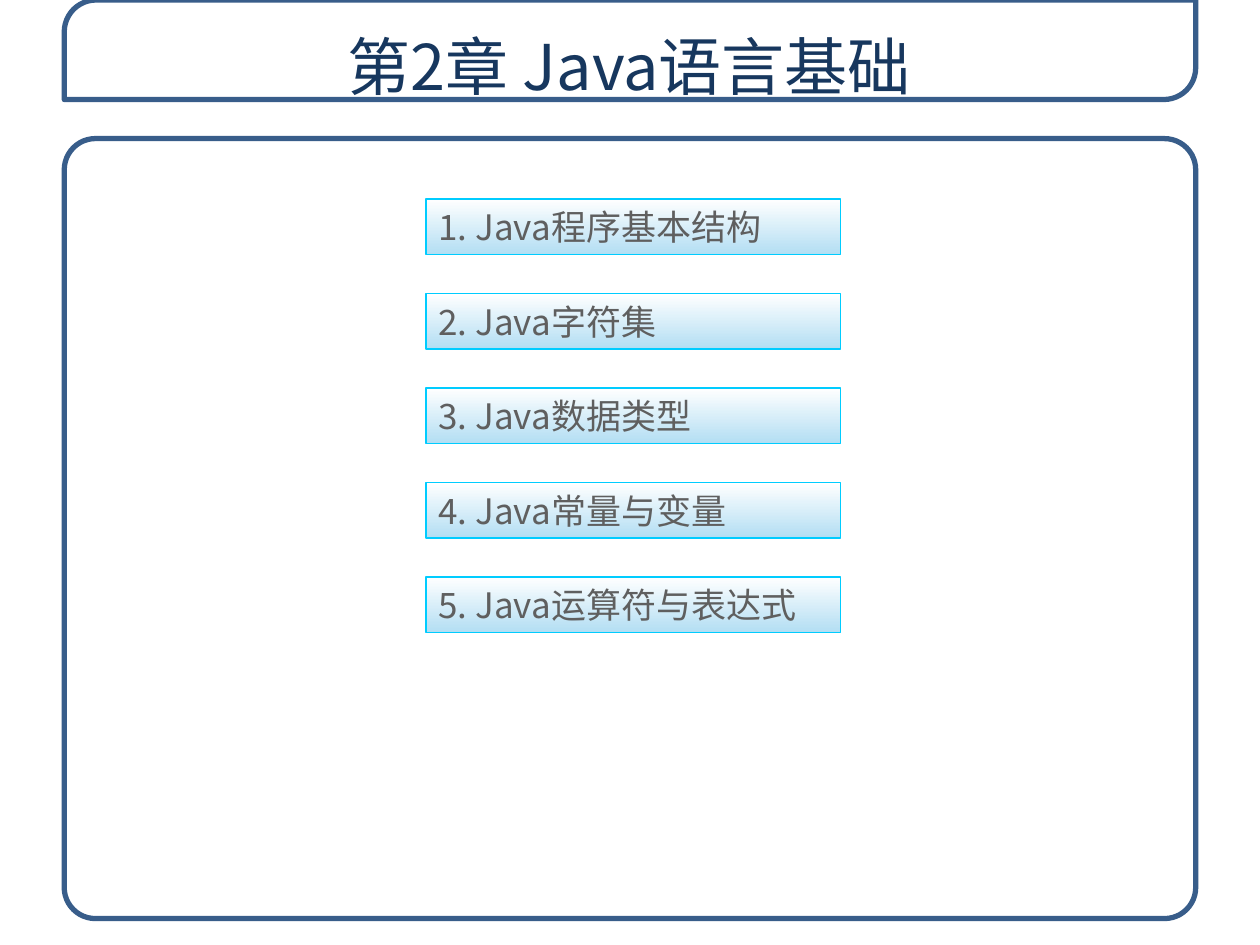
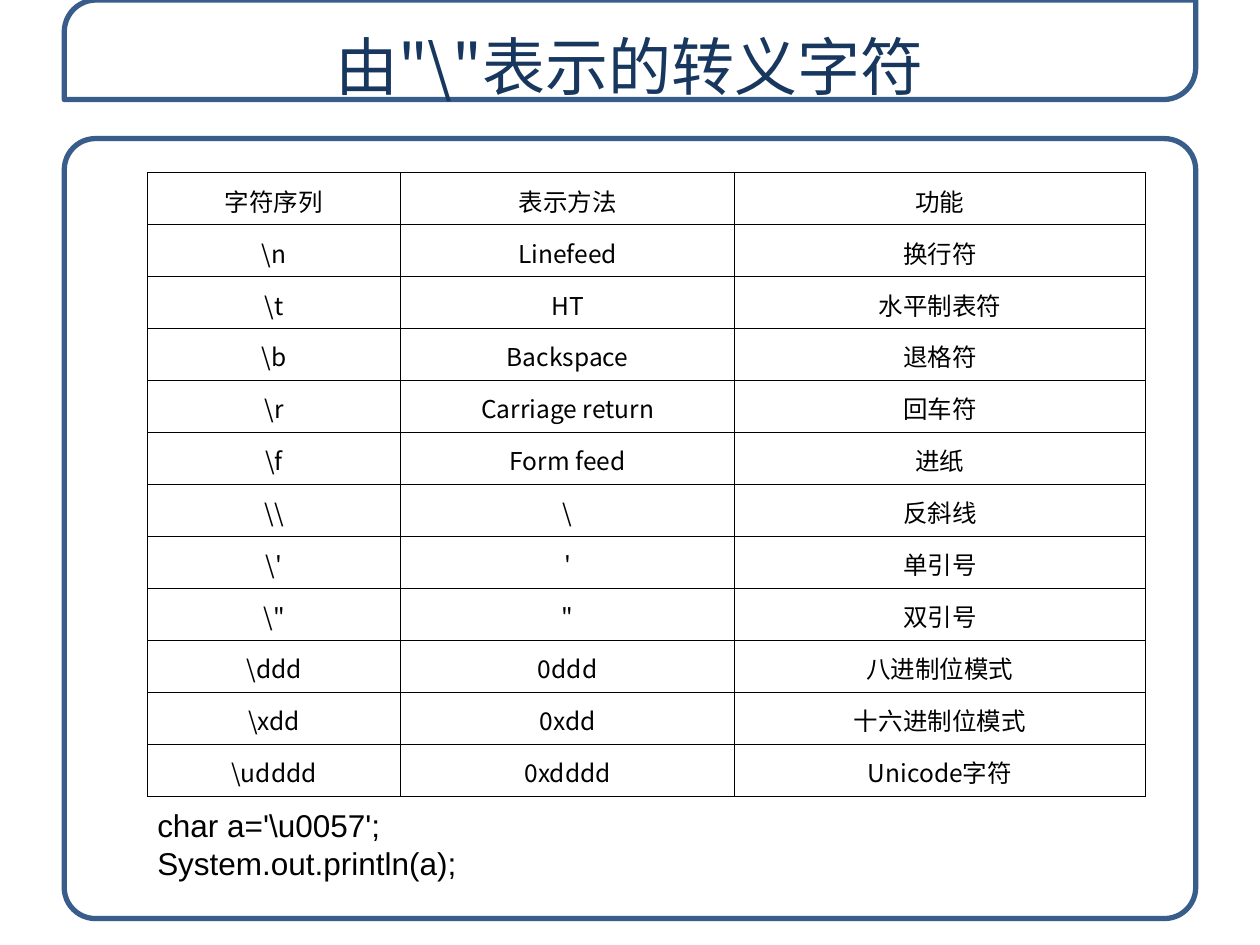
from dataclasses import dataclass

from lxml import etree
from pptx import Presentation
from pptx import util as u
from pptx.dml.color import RGBColor
from pptx.enum import shapes, text
from pptx.oxml import ns


@dataclass(frozen=True)
class Theme:
    paper: str = "FFFFFF"
    frame: str = "385D8A"
    title: str = "17375E"
    topic_edge: str = "00CCFF"
    topic_tint: str = "B3DEF3"
    topic_text: str = "5F5F5F"
    ink: str = "000000"
    font: str = "Noto Sans CJK SC"
    code_font: str = "Arial"
    title_size: float = 36
    topic_size: float = 20
    code_size: float = 18
    cell_size: float = 14
    frame_width: float = 3
    topic_width: float = 0.75
    grid_width: float = 0.23
    frame_opacity: int = 85


THEME = Theme()

TOPICS = [
    "1. Java程序基本结构",
    "2. Java字符集",
    "3. Java数据类型",
    "4. Java常量与变量",
    "5. Java运算符与表达式",
]

ESCAPES = [
    ("字符序列", "表示方法", "功能"),
    (r"\n", "Linefeed", "换行符"),
    (r"\t", "HT", "水平制表符"),
    (r"\b", "Backspace", "退格符"),
    (r"\r", "Carriage return", "回车符"),
    (r"\f", "Form feed", "进纸"),
    (r"\\", "\\", "反斜线"),
    (r"\'", "'", "单引号"),
    (r"\"", '"', "双引号"),
    (r"\ddd", "0ddd", "八进制位模式"),
    (r"\xdd", "0xdd", "十六进制位模式"),
    (r"\udddd", "0xdddd", "Unicode字符"),
]

CODE = "char a='\\u0057';\nSystem.out.println(a);"


def rgb(value):
    return RGBColor.from_string(value)


def inches(*lengths):
    return [u.Inches(length) for length in lengths]


def write(frame, words, size, color, font=THEME.font, align=text.PP_ALIGN.LEFT):
    frame.text = words
    for para in frame.paragraphs:
        para.alignment = align
        for span in para.runs:
            span.font.size = u.Pt(size)
            span.font.name = font
            span.font.color.rgb = rgb(color)
            east = etree.SubElement(span.font._element, ns.qn("a:ea"))
            east.set("typeface", font)


def set_line(shape, color, width):
    shape.line.color.rgb = rgb(color)
    shape.line.width = u.Pt(width)


def add_frame(page, kind, top, height, corner):
    frame = page.shapes.add_shape(kind, *inches(0.51, top, 8.98, height))
    frame.adjustments[0] = corner
    frame.shadow.inherit = False
    frame.fill.solid()
    frame.fill.fore_color.rgb = rgb(THEME.paper)
    color = frame._element.spPr.find(ns.qn("a:solidFill"))[0]
    alpha = etree.SubElement(color, ns.qn("a:alpha"))
    alpha.set("val", str(THEME.frame_opacity * 1000))
    set_line(frame, THEME.frame, THEME.frame_width)


def add_page(deck, heading):
    page = deck.slides.add_slide(deck.slide_layouts[5])
    add_frame(page, shapes.MSO_SHAPE.ROUNDED_RECTANGLE, 1.1, 6.19, 0.04)
    add_frame(page, shapes.MSO_SHAPE.ROUND_2_DIAG_RECTANGLE, 0, 0.79, 0.32)
    title = page.shapes.title
    title.left, title.top, title.width, title.height = inches(0.51, 0.14, 8.97, 0.76)
    title.text_frame.auto_size = text.MSO_AUTO_SIZE.NONE
    title.text_frame.vertical_anchor = text.MSO_ANCHOR.MIDDLE
    write(title.text_frame, heading, THEME.title_size, THEME.title,
          align=text.PP_ALIGN.CENTER)
    page.shapes._spTree.append(title._element)
    return page


def add_topic(page, words, top):
    box = page.shapes.add_shape(shapes.MSO_SHAPE.RECTANGLE, *inches(3.38, top, 3.29, 0.44))
    box.shadow.inherit = False
    box.fill.gradient()
    box.fill.gradient_angle = 270
    for stop, color in zip(box.fill.gradient_stops, (THEME.paper, THEME.topic_tint)):
        stop.color.rgb = rgb(color)
    set_line(box, THEME.topic_edge, THEME.topic_width)
    box.text_frame.vertical_anchor = text.MSO_ANCHOR.MIDDLE
    write(box.text_frame, words, THEME.topic_size, THEME.topic_text)


def set_borders(cell):
    properties = cell._tc.get_or_add_tcPr()
    for index, side in enumerate(("lnL", "lnR", "lnT", "lnB")):
        line = etree.Element(ns.qn(f"a:{side}"), w=str(u.Pt(THEME.grid_width)))
        fill = etree.SubElement(line, ns.qn("a:solidFill"))
        etree.SubElement(fill, ns.qn("a:srgbClr"), val=THEME.ink)
        properties.insert(index, line)


def add_escape_table(page, rows, widths):
    height = 0.39
    table = page.shapes.add_table(
        len(rows), len(widths), *inches(1.17, 1.37, sum(widths), height * len(rows))).table
    for column, width in zip(table.columns, widths):
        column.width = u.Inches(width)
    for row, values in zip(table.rows, rows):
        row.height = u.Inches(height)
        for cell, value in zip(row.cells, values):
            cell.fill.background()
            set_borders(cell)
            cell.vertical_anchor = text.MSO_ANCHOR.MIDDLE
            write(cell.text_frame, value, THEME.cell_size, THEME.ink,
                  align=text.PP_ALIGN.CENTER)
            para = cell.text_frame.paragraphs[0]
            para.line_spacing = 1.1
            para.space_after = u.Pt(3.5)


def add_code(page, code):
    box = page.shapes.add_textbox(*inches(1.15, 6.35, 5, 0.7))
    box.text_frame.word_wrap = True
    write(box.text_frame, code, THEME.code_size, THEME.ink, THEME.code_font)


def main():
    deck = Presentation()
    deck.slide_width, deck.slide_height = inches(10, 7.5)

    contents = add_page(deck, "第2章 Java语言基础")
    for index, topic in enumerate(TOPICS):
        add_topic(contents, topic, 1.58 + 0.75 * index)

    escapes = add_page(deck, '由"\\"表示的转义字符')
    add_escape_table(escapes, ESCAPES, (2.01, 2.65, 3.26))
    add_code(escapes, CODE)

    deck.save("out.pptx")


if __name__ == "__main__":
    main()
